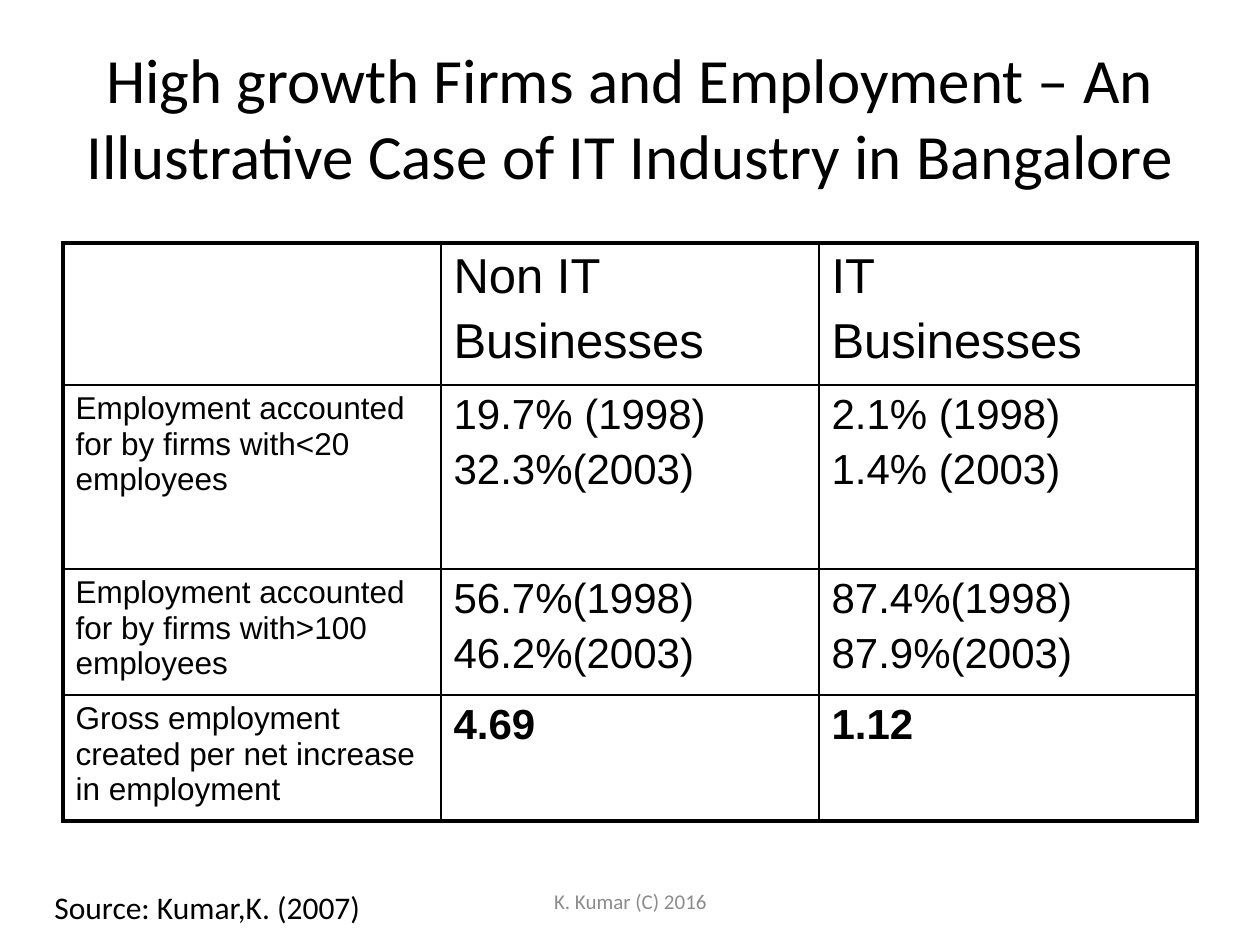
from dataclasses import dataclass

from lxml.etree import SubElement
from pptx import Presentation
from pptx.dml.color import RGBColor
from pptx.enum.text import MSO_ANCHOR as Anchor, MSO_AUTO_SIZE as AutoSize, PP_ALIGN as Align
from pptx.oxml.ns import qn
from pptx.util import Emu, Pt


@dataclass(frozen=True)
class Theme:
    ink: str = "000000"
    muted: str = "8C8C8C"
    body_font: str = "Calibri"
    table_font: str = "Arial"
    title: int = 36
    header: int = 28
    value: int = 24
    label: int = 18
    footer: int = 12
    outer: float = 2.25
    inner: float = 1


def px(n):
    return Emu(round(n * 914400 / 126))


class SlideBuilder:
    def __init__(self, slide, theme):
        self.s = slide
        self.t = theme

    def fill_text(self, tf, text, size, font, color, align=Align.LEFT, bold=False):
        tf.word_wrap = True
        tf.text = text
        for i, p in enumerate(tf.paragraphs):
            p.alignment = align
            if i:
                p.space_before = Pt(size * 0.2)
            for r in p.runs:
                r.font.name = font
                r.font.size = Pt(size)
                r.font.bold = bold
                r.font.color.rgb = RGBColor.from_string(color)

    def title(self, text, x, y, w, h):
        sp = self.s.shapes.title
        sp.left, sp.top, sp.width, sp.height = map(px, (x, y, w, h))
        tf = sp.text_frame
        tf.auto_size = AutoSize.NONE
        tf.vertical_anchor = Anchor.MIDDLE
        self.fill_text(tf, text, self.t.title, self.t.body_font, self.t.ink, Align.CENTER)

    def text(self, text, x, y, w, h, size, color, align=Align.LEFT, anchor=Anchor.TOP):
        tf = self.s.shapes.add_textbox(*map(px, (x, y, w, h))).text_frame
        tf.vertical_anchor = anchor
        self.fill_text(tf, text, size, self.t.body_font, color, align)

    def borders(self, cell, edges):
        tc_pr = cell._tc.get_or_add_tcPr()
        for side, is_outer in edges.items():
            width = self.t.outer if is_outer else self.t.inner
            ln = SubElement(tc_pr, qn(f"a:ln{side}"), w=str(Pt(width)))
            fill = SubElement(ln, qn("a:solidFill"))
            SubElement(fill, qn("a:srgbClr"), val=self.t.ink)

    def table(self, rows, x, y, col_w, row_heights):
        n_rows, n_cols = len(rows), len(rows[0])
        box = (x, y, col_w * n_cols, sum(row_heights))
        tbl = self.s.shapes.add_table(n_rows, n_cols, *map(px, box)).table
        tbl.first_row = tbl.horz_banding = False
        for col in tbl.columns:
            col.width = px(col_w)
        for i, (row, height) in enumerate(zip(rows, row_heights)):
            tbl.rows[i].height = px(height)
            for j, text in enumerate(row):
                cell = tbl.cell(i, j)
                self.borders(cell, {"L": j == 0, "R": j == n_cols - 1,
                                    "T": i == 0, "B": i == n_rows - 1})
                cell.fill.background()
                if not text:
                    continue
                size = self.t.header if i == 0 else self.t.value if j else self.t.label
                bold = j > 0 and i == n_rows - 1
                self.fill_text(cell.text_frame, text, size, self.t.table_font, self.t.ink,
                               bold=bold)


ROWS = [
    ["", "Non IT\nBusinesses", "IT\nBusinesses"],
    ["Employment accounted for by firms with<20 employees",
     "19.7% (1998)\n32.3%(2003)", "2.1% (1998)\n1.4% (2003)"],
    ["Employment accounted for by firms with>100 employees",
     "56.7%(1998)\n46.2%(2003)", "87.4%(1998)\n87.9%(2003)"],
    ["Gross employment created per net increase in employment", "4.69", "1.12"],
]


def main():
    prs = Presentation()
    prs.slide_width, prs.slide_height = px(1260), px(945)
    theme = Theme()
    b = SlideBuilder(prs.slides.add_slide(prs.slide_layouts[5]), theme)
    b.title("High growth Firms and Employment – An Illustrative Case of IT Industry in Bangalore",
            63, 38, 1134, 157)
    b.table(ROWS, 63, 243, 378, [142, 184, 126, 126])
    b.text("Source: Kumar,K. (2007)", 42, 882, 1103, 50, theme.label, theme.ink)
    b.text("K. Kumar (C) 2016", 431, 876, 399, 50, theme.footer, theme.muted,
           Align.CENTER, Anchor.MIDDLE)
    prs.save("out.pptx")


if __name__ == "__main__":
    main()
